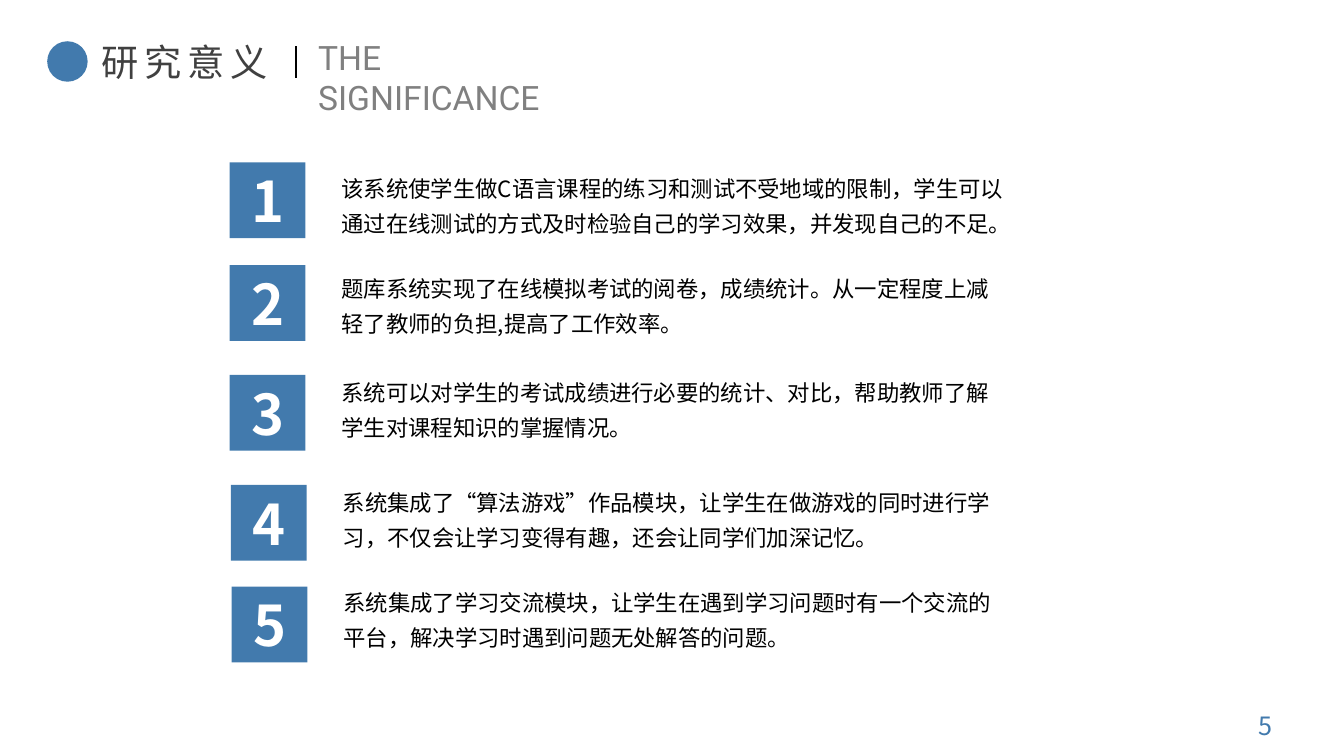
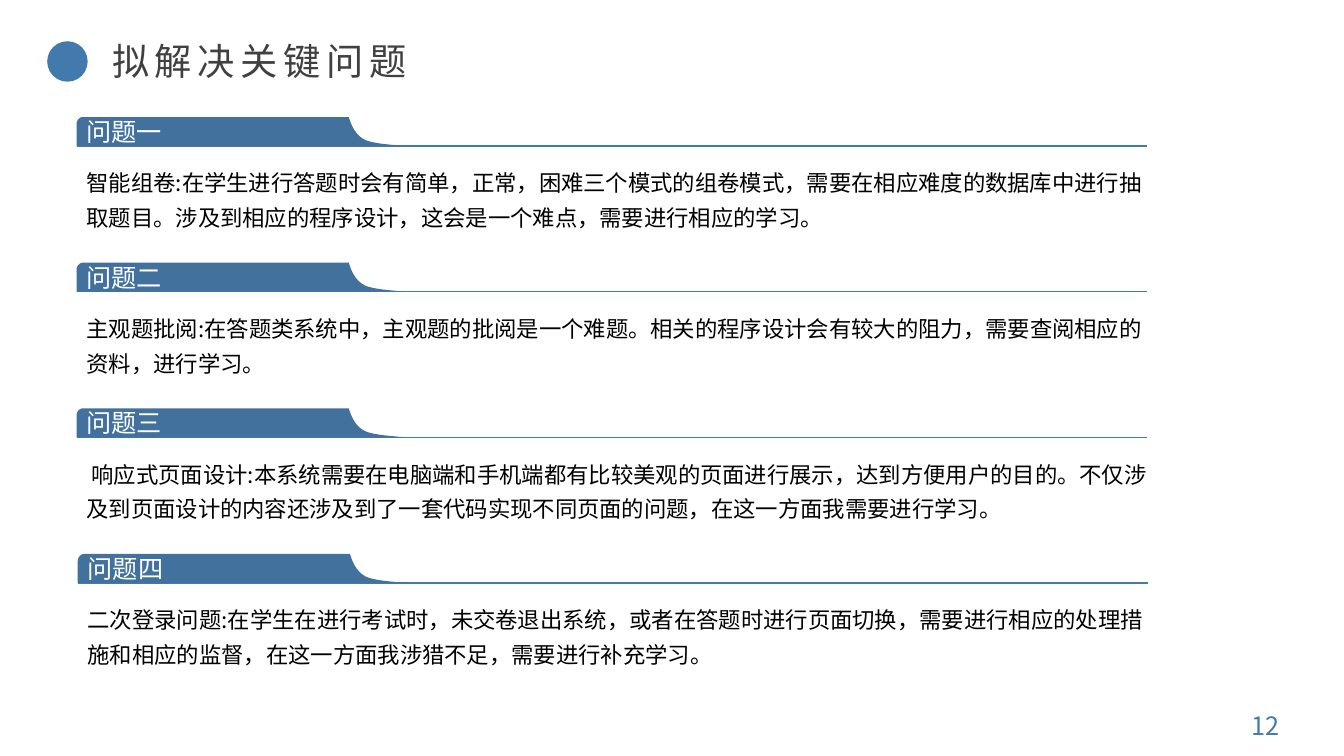
from lxml import etree
from pptx import Presentation
from pptx import util as u
from pptx.dml import color
from pptx.enum import shapes, text
from pptx.oxml import ns

COLORS = {
    "blue": "427AAD",
    "tab": "41719C",
    "title": "404040",
    "subtitle": "808080",
    "black": "000000",
    "white": "FFFFFF",
}
CJK_FONT = "Noto Sans CJK SC"
LATIN_FONT = "Roboto"

SIGNIFICANCE = {
    "title": "研究意义",
    "title_box": (2.31, 0.86, 4.88, 1.4),
    "subtitle": "THE SIGNIFICANCE",
    "page": "5",
}
REASONS = [
    (5.79, 4.09, 4.09, "该系统使学生做C语言课程的练习和测试不受地域的限制，学生可以通过在线测试的方式及时检验自己的学习效果，并发现自己的不足。"),
    (5.79, 6.68, 6.6, "题库系统实现了在线模拟考试的阅卷，成绩统计。从一定程度上减轻了教师的负担,提高了工作效率。"),
    (5.79, 9.45, 9.22, "系统可以对学生的考试成绩进行必要的统计、对比，帮助教师了解学生对课程知识的掌握情况。"),
    (5.82, 12.22, 11.99, "系统集成了“算法游戏”作品模块，让学生在做游戏的同时进行学习，不仅会让学习变得有趣，还会让同学们加深记忆。"),
    (5.84, 14.78, 14.53, "系统集成了学习交流模块，让学生在遇到学习问题时有一个交流的平台，解决学习时遇到问题无处解答的问题。"),
]
BADGE_SIZE = 1.91
REASON_OFFSET = 2.57

KEY_PROBLEMS = {
    "title": "拟解决关键问题",
    "title_box": (2.57, 0.84, 8.08, 1.4),
    "page": "12",
}
PROBLEMS = [
    (1.93, "问题一", "智能组卷:在学生进行答题时会有简单，正常，困难三个模式的组卷模式，需要在相应难度的数据库中进行抽取题目。涉及到相应的程序设计，这会是一个难点，需要进行相应的学习。"),
    (1.93, "问题二", "主观题批阅:在答题类系统中，主观题的批阅是一个难题。相关的程序设计会有较大的阻力，需要查阅相应的资料，进行学习。"),
    (1.93, "问题三", " 响应式页面设计:本系统需要在电脑端和手机端都有比较美观的页面进行展示，达到方便用户的目的。不仅涉及到页面设计的内容还涉及到了一套代码实现不同页面的问题，在这一方面我需要进行学习。"),
    (1.96, "问题四", "二次登录问题:在学生在进行考试时，未交卷退出系统，或者在答题时进行页面切换，需要进行相应的处理措施和相应的监督，在这一方面我涉猎不足，需要进行补充学习。"),
]
PROBLEM_TOP = 2.95
PROBLEM_PITCH = 3.67
TAB_HEIGHT = 0.73
TAB_CURVES = [
    [(6.86, 0), (6.93, 0.23), (7.04, 0.46), (7.26, 0.57)],
    [(7.26, 0.57), (7.49, 0.69), (8.18, 0.71), (8.23, TAB_HEIGHT)],
    [(0, 0.18), (0, 0.08), (0.08, 0), (0.16, 0)],
]
CURVE_STEPS = 10


def rgb(name):
    return color.RGBColor.from_string(COLORS[name])


def lengths(*values):
    return [u.Cm(value) for value in values]


def write(shape, content, size, tint, font=CJK_FONT, bold=False, align=text.PP_ALIGN.LEFT,
          anchor=text.MSO_ANCHOR.TOP, line_spacing=None, tracking=None):
    frame = shape.text_frame
    frame.word_wrap = True
    frame.vertical_anchor = anchor
    paragraph = frame.paragraphs[0]
    paragraph.alignment = align
    if line_spacing:
        paragraph.line_spacing = line_spacing
    run = paragraph.add_run()
    run.text = content
    run.font.size = u.Pt(size)
    run.font.bold = bold
    run.font.name = font
    run.font.color.rgb = rgb(tint)
    properties = run.font._element
    etree.SubElement(properties, ns.qn("a:ea")).set("typeface", font)
    if tracking:
        properties.set("spc", str(tracking * 100))


def add_text(slide, box, content, size, tint, **style):
    write(slide.shapes.add_textbox(*lengths(*box)), content, size, tint, **style)


def paint(shape, tint):
    shape.shadow.inherit = False
    shape.fill.solid()
    shape.fill.fore_color.rgb = rgb(tint)
    shape.line.fill.background()


def add_block(slide, preset, box, tint):
    shape = slide.shapes.add_shape(preset, *lengths(*box))
    paint(shape, tint)
    return shape


def add_line(slide, ends, tint, width):
    line = slide.shapes.add_connector(shapes.MSO_CONNECTOR.STRAIGHT, *lengths(*ends))
    line.line.color.rgb = rgb(tint)
    line.line.width = u.Pt(width)
    etree.SubElement(line._element.spPr, ns.qn("a:effectLst"))


def curve_points(controls):
    for step in range(CURVE_STEPS + 1):
        t = step / CURVE_STEPS
        weights = ((1 - t) ** 3, 3 * t * (1 - t) ** 2, 3 * t ** 2 * (1 - t), t ** 3)
        yield tuple(sum(w * point[axis] for w, point in zip(weights, controls)) for axis in (0, 1))


def add_tab(slide, left, top, label):
    slope, foot, corner = (list(curve_points(controls)) for controls in TAB_CURVES)
    outline = slope + foot[1:] + [(0, TAB_HEIGHT)] + corner
    points = [lengths(left + x, top + y) for x, y in outline]
    builder = slide.shapes.build_freeform(*points[0])
    builder.add_line_segments(points[1:], close=True)
    tab = builder.convert_to_shape()
    paint(tab, "tab")
    write(tab, label, 18, "white", anchor=text.MSO_ANCHOR.MIDDLE)


def add_slide(presentation, header):
    slide = presentation.slides.add_slide(presentation.slide_layouts[5])
    title = slide.shapes.title
    title.left, title.top, title.width, title.height = lengths(*header["title_box"])
    write(title, header["title"], 26.6, "title", tracking=4)
    title.text_frame.word_wrap = False
    title.text_frame.auto_size = text.MSO_AUTO_SIZE.SHAPE_TO_FIT_TEXT
    add_block(slide, shapes.MSO_SHAPE.OVAL, (1.19, 1.04, 1.02, 1.02), "blue")
    add_text(slide, (30.94, 17.88, 1.91, 0.81), header["page"], 18, "blue",
             align=text.PP_ALIGN.CENTER, anchor=text.MSO_ANCHOR.MIDDLE)
    if "subtitle" in header:
        add_text(slide, (7.77, 0.81, 7.75, 1.27), header["subtitle"], 24, "subtitle", font=LATIN_FONT)
        add_line(slide, (7.47, 1.17, 7.47, 1.96), "black", 1.5)
    return slide


def build_significance(presentation):
    slide = add_slide(presentation, SIGNIFICANCE)
    for number, (left, badge_top, text_top, reason) in enumerate(REASONS, 1):
        badge = add_block(slide, shapes.MSO_SHAPE.RECTANGLE,
                          (left, badge_top, BADGE_SIZE, BADGE_SIZE), "blue")
        write(badge, str(number), 40, "white", bold=True,
              align=text.PP_ALIGN.CENTER, anchor=text.MSO_ANCHOR.MIDDLE)
        add_text(slide, (left + REASON_OFFSET, text_top, 17.32, 2.03), reason, 16, "black",
                 line_spacing=1.3)


def build_key_problems(presentation):
    slide = add_slide(presentation, KEY_PROBLEMS)
    for index, (left, label, description) in enumerate(PROBLEMS):
        top = PROBLEM_TOP + index * PROBLEM_PITCH
        rule = top + TAB_HEIGHT
        add_line(slide, (left, rule, left + 26.97, rule), "blue", 1)
        add_tab(slide, left, top, label)
        add_text(slide, (left, top + 0.99, 27.28, 2.03), description, 16, "black", line_spacing=1.3)


def main():
    presentation = Presentation()
    presentation.slide_width, presentation.slide_height = lengths(33.87, 19.05)
    build_significance(presentation)
    build_key_problems(presentation)
    presentation.save("out.pptx")


if __name__ == "__main__":
    main()
